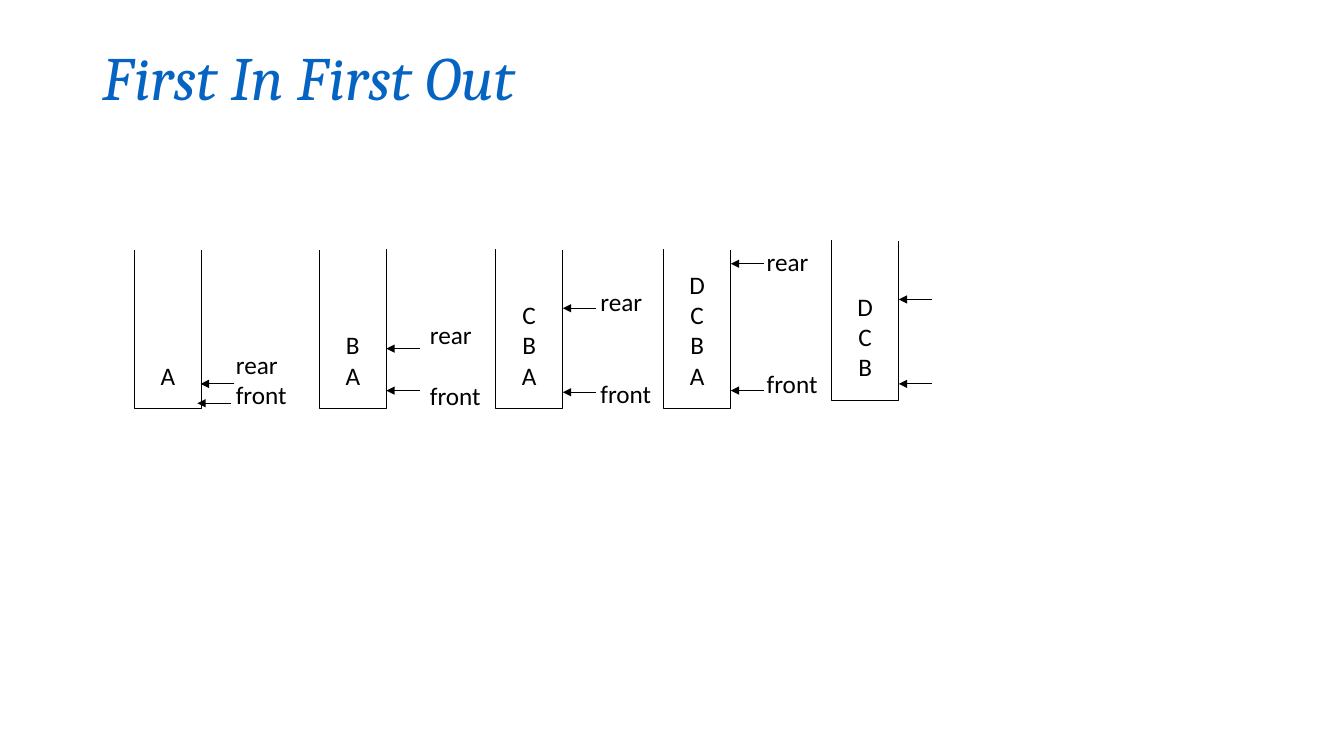
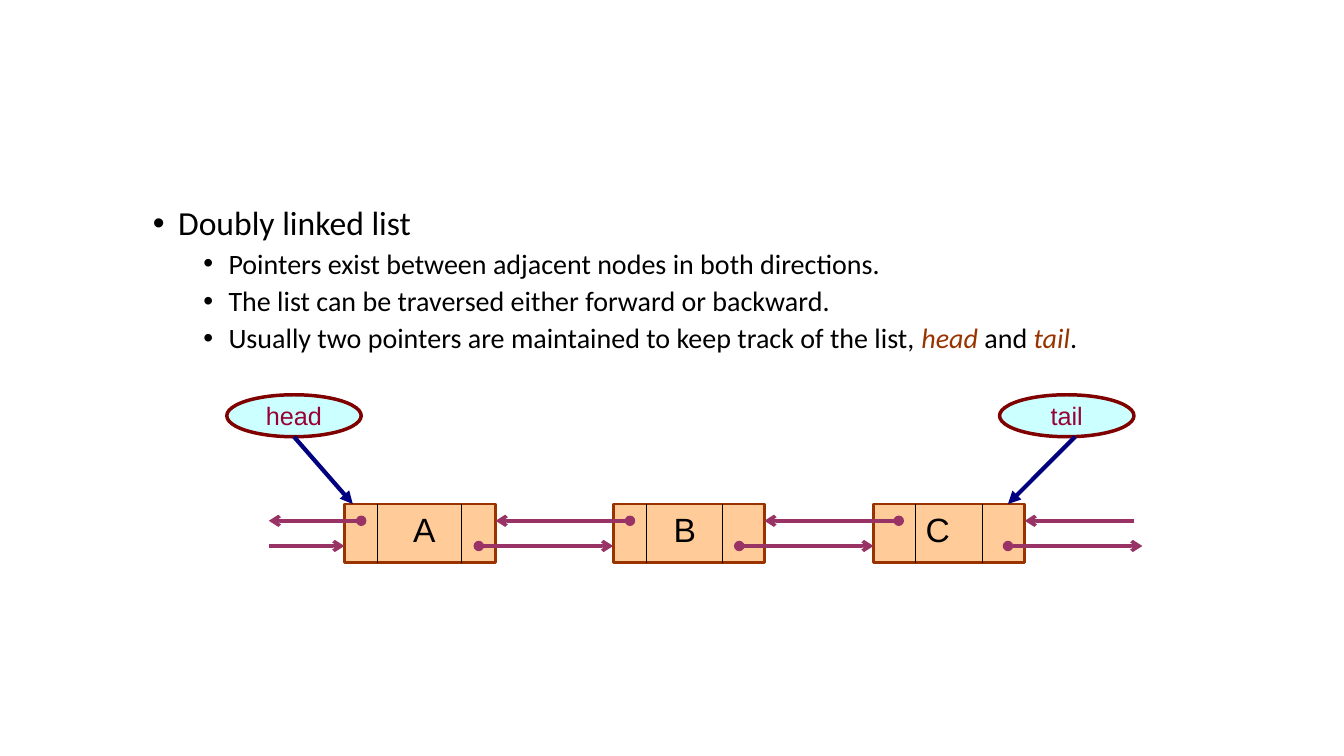
from pptx import Presentation
from pptx.dml.color import RGBColor
from pptx.enum.shapes import MSO_CONNECTOR, MSO_SHAPE
from pptx.enum.text import MSO_ANCHOR, MSO_AUTO_SIZE, PP_ALIGN
from pptx.oxml.ns import qn
from pptx.util import Inches, Pt
from lxml.etree import SubElement

BLACK = RGBColor(0x00, 0x00, 0x00)
WHITE = RGBColor(0xFF, 0xFF, 0xFF)
TITLE_BLUE = RGBColor(0x05, 0x63, 0xC1)
NODE_FILL = RGBColor(0xFF, 0xCC, 0x99)
RUST = RGBColor(0x99, 0x33, 0x00)
LINK_PLUM = RGBColor(0x99, 0x33, 0x66)
OVAL_FILL = RGBColor(0xCC, 0xFF, 0xFF)
OVAL_LINE = RGBColor(0x80, 0x00, 0x00)
OVAL_TEXT = RGBColor(0x99, 0x00, 0x33)
POINTER_NAVY = RGBColor(0x00, 0x00, 0x80)

COLUMNS, ROWS = 160, 90
WIDTH, HEIGHT = Inches(13.33), Inches(7.5)
TITLE_ONLY, TITLE_AND_CONTENT = 5, 1
LINE_HEIGHT = 22  # points taken by one 18 pt Calibri line


class Deck:
    """Holds the style and the current slide; lengths are grid columns and rows."""

    def __init__(self):
        self.presentation = Presentation()
        self.presentation.slide_width = WIDTH
        self.presentation.slide_height = HEIGHT
        self.slide = None

    def new_slide(self, layout):
        layouts = self.presentation.slide_layouts
        self.slide = self.presentation.slides.add_slide(layouts[layout])

    def x(self, columns):
        return round(WIDTH * columns / COLUMNS)

    def y(self, rows):
        return round(HEIGHT * rows / ROWS)

    def frame(self, left, top, width, height):
        return self.x(left), self.y(top), self.x(width), self.y(height)

    def place(self, placeholder, *area):
        (placeholder.left, placeholder.top,
         placeholder.width, placeholder.height) = self.frame(*area)

    def add_text(self, paragraph, text, size, font="Calibri", color=BLACK, italic=False):
        run = paragraph.add_run()
        run.text = text
        run.font.size = Pt(size)
        run.font.name = font
        run.font.color.rgb = color
        run.font.italic = italic

    def title(self, text):
        heading = self.slide.shapes.title
        self.place(heading, 11, 5, 138, 17)
        heading.text_frame.vertical_anchor = MSO_ANCHOR.TOP
        paragraph = heading.text_frame.paragraphs[0]
        paragraph.alignment = PP_ALIGN.LEFT
        paragraph.line_spacing = 0.9
        self.add_text(paragraph, text, 44, "Cambria", TITLE_BLUE, True)

    def drop_title(self):
        heading = self.slide.shapes.title.element
        heading.getparent().remove(heading)

    def bullets(self, items):
        """Fill the body; each item is a level and (text, emphasised) pieces."""
        body = self.slide.placeholders[1]
        self.place(body, 11, 24, 138, 57)
        frame = body.text_frame
        frame.auto_size = MSO_AUTO_SIZE.NONE
        for index, (level, pieces) in enumerate(items):
            paragraph = frame.add_paragraph() if index else frame.paragraphs[0]
            paragraph.level = level
            paragraph.line_spacing = 0.9
            paragraph.space_before = Pt(5)
            properties = paragraph._p.get_or_add_pPr()
            properties.set("marL", str(Inches(0.25 + 0.5 * level)))
            properties.set("indent", str(Inches(-0.25)))
            SubElement(properties, qn("a:buFont"), typeface="Arial")
            SubElement(properties, qn("a:buChar"), char="•")
            for text, emphasised in pieces:
                self.add_text(paragraph, text, 24 if level == 1 else 20,
                              color=RUST if emphasised else BLACK, italic=emphasised)

    def shape(self, kind, area, fill, outline, weight):
        shape = self.slide.shapes.add_shape(kind, *self.frame(*area))
        shape.shadow.inherit = False
        shape.fill.solid()
        shape.fill.fore_color.rgb = fill
        shape.line.color.rgb = outline
        shape.line.width = Pt(weight)
        shape.text_frame.word_wrap = False
        return shape

    def line(self, start, end, color=BLACK, weight=0.75, head=None, tail=None):
        connector = self.slide.shapes.add_connector(
            MSO_CONNECTOR.STRAIGHT, self.x(start[0]), self.y(start[1]),
            self.x(end[0]), self.y(end[1]))
        connector.line.color.rgb = color
        connector.line.width = Pt(weight)
        properties = connector.element.spPr
        outline = properties.find(qn("a:ln"))
        for tag, style in (("a:headEnd", head), ("a:tailEnd", tail)):
            if style:
                SubElement(outline, qn(tag), type=style)
        SubElement(properties, qn("a:effectLst"))

    def label(self, area, lines, size, font="Calibri", gap=0):
        """Set lines below each other, gap points apart."""
        frame = self.slide.shapes.add_textbox(*self.frame(*area)).text_frame
        frame.word_wrap = True
        for index, text in enumerate(lines):
            paragraph = frame.add_paragraph() if index else frame.paragraphs[0]
            paragraph.space_before = Pt(gap if index else 0)
            self.add_text(paragraph, text, size, font)

    def queue(self, left, top, letters):
        """Draw an open-topped column with its letters stacked from the bottom."""
        column = self.shape(MSO_SHAPE.RECTANGLE, (left, top, 8, 19), WHITE, BLACK, 0.75)
        frame = column.text_frame
        frame.vertical_anchor = MSO_ANCHOR.BOTTOM
        frame.margin_bottom = self.y(2.2)
        for index, letter in enumerate(letters):
            paragraph = frame.add_paragraph() if index else frame.paragraphs[0]
            paragraph.alignment = PP_ALIGN.CENTER
            self.add_text(paragraph, letter, 18)
        self.line((left, top), (left + 8, top), WHITE)

    def oval(self, left, text):
        oval = self.shape(MSO_SHAPE.OVAL, (left, 47, 16, 5), OVAL_FILL, OVAL_LINE, 2.5)
        oval.text_frame.vertical_anchor = MSO_ANCHOR.MIDDLE
        paragraph = oval.text_frame.paragraphs[0]
        paragraph.alignment = PP_ALIGN.CENTER
        self.add_text(paragraph, text, 18, "Arial", OVAL_TEXT)

    def link(self, start, end, row, dotted=True):
        self.line((start, row), (end, row), LINK_PLUM, 2.5,
                  "oval" if dotted else None, "arrow")


def first_in_first_out(deck):
    deck.new_slide(TITLE_ONLY)
    deck.title("First In First Out")
    # left, top, letters, arrow tips (column, row)
    queues = [
        (16, 29.65, "A", [(23.9, 45.7), (23.5, 48)]),
        (38, 29.65, "BA", [(46, 41.5), (46, 46.5)]),
        (59, 29.65, "CBA", [(67, 36.7), (67, 46.7)]),
        (79, 29.65, "DCBA", [(87, 31.4), (87, 46.5)]),
        (99, 28.65, "DCB", [(107, 35.65), (107, 45.7)]),
    ]
    for left, top, letters, tips in queues:
        deck.queue(left, top, letters)
        for column, row in tips:
            deck.line((column + 4, row), (column, row), tail="triangle")
    label_corners = [(26.9, 41), (50, 37.4), (70.3, 33.5), (90.1, 28.7)]
    for skipped_lines, (left, top) in enumerate(label_corners):
        deck.label((left, top, 10, 11 + 3.7 * skipped_lines), ["rear", "front"], 18,
                   gap=skipped_lines * LINE_HEIGHT)


def doubly_linked_list(deck):
    deck.new_slide(TITLE_AND_CONTENT)
    deck.drop_title()
    deck.bullets([
        (1, [("Doubly linked list", False)]),
        (2, [("Pointers exist between adjacent nodes in both directions.", False)]),
        (2, [("The list can be traversed either forward or backward.", False)]),
        (2, [("Usually two pointers are maintained to keep track of the list, ", False),
             ("head", True), (" and ", False), ("tail", True), (".", False)]),
    ])
    node_top, node_width, node_height = 60, 18, 7
    back_row, forward_row = 62, 65
    # letter, left, dividers, letter column, backward link, forward link
    nodes = [
        ("A", 41, (45, 55), 48, (43, 32), (57, 73)),
        ("B", 73, (77, 86), 79, (75, 59), (88, 104)),
        ("C", 104, (109, 117), 109, (107, 91), (120, 136)),
    ]
    for _, left, *_ in nodes:
        deck.shape(MSO_SHAPE.RECTANGLE, (left, node_top, node_width, node_height),
                   NODE_FILL, RUST, 2)
    for letter, _, dividers, letter_left, backward, forward in nodes:
        for column in dividers:
            deck.line((column, node_top), (column, node_top + node_height))
        deck.label((letter_left, node_top, 8, 6), [letter], 24, "Arial")
        deck.link(*backward, back_row)
        deck.link(*forward, forward_row)
    deck.link(32, 41, forward_row, dotted=False)
    deck.link(135, 122, back_row, dotted=False)
    for name, left, start, end in (("head", 27, 35, 42), ("tail", 119, 128, 120)):
        deck.oval(left, name)
        deck.line((start, 52), (end, node_top), POINTER_NAVY, 3, tail="triangle")


def main():
    deck = Deck()
    first_in_first_out(deck)
    doubly_linked_list(deck)
    deck.presentation.save("out.pptx")


if __name__ == "__main__":
    main()
